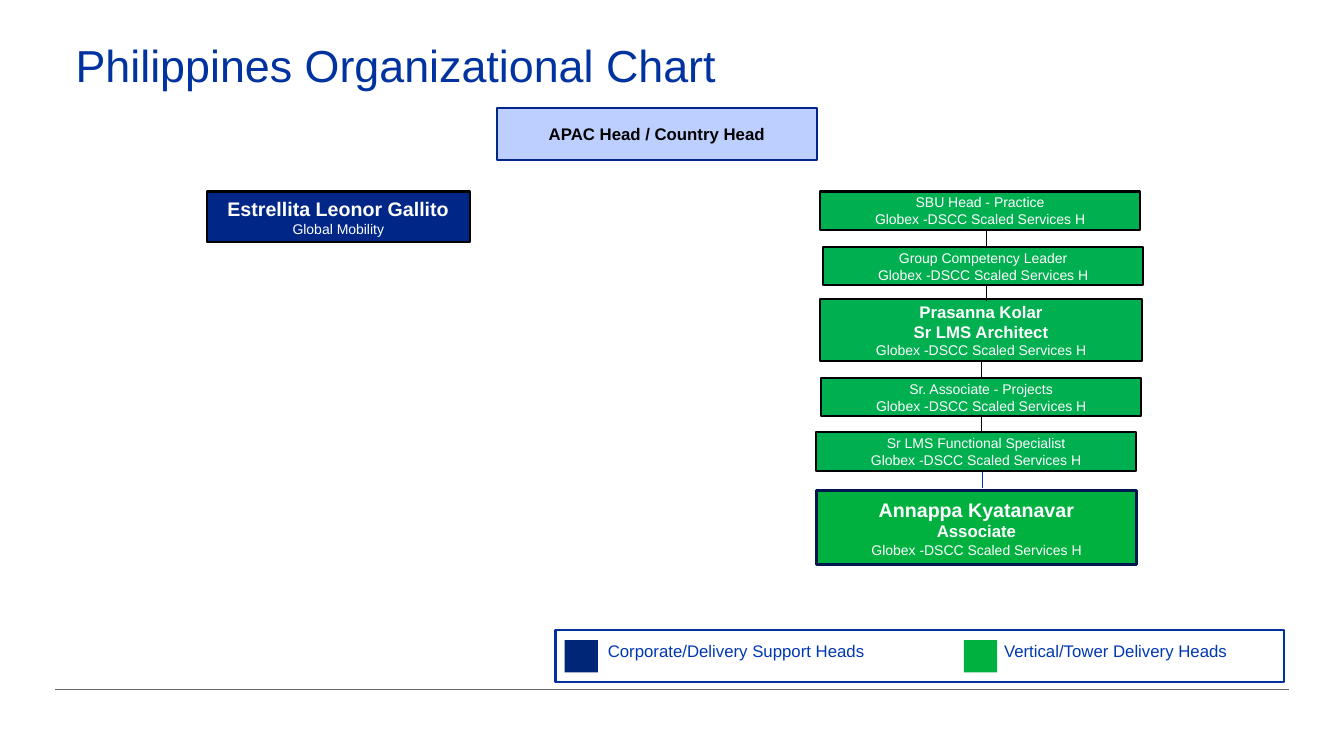
import pptx
import pptx.util
import pptx.dml.color
import pptx.enum.shapes
import pptx.enum.text
import pptx.oxml

Inches, Pt = pptx.util.Inches, pptx.util.Pt
RGB = pptx.dml.color.RGBColor
ALIGN = pptx.enum.text.PP_ALIGN
ANCHOR = pptx.enum.text.MSO_ANCHOR
RECT = pptx.enum.shapes.MSO_SHAPE.RECTANGLE
STRAIGHT = pptx.enum.shapes.MSO_CONNECTOR.STRAIGHT

BLACK, WHITE = RGB(0, 0, 0), RGB(255, 255, 255)
BLUE, NAVY, DEEP = RGB(0, 0x33, 0xA0), RGB(0, 0x26, 0x87), RGB(0, 0x16, 0x4F)
LINK, LABEL, PALE = RGB(0, 0x32, 0xB0), RGB(0, 0x38, 0xB1), RGB(0xBD, 0xCF, 0xFF)
GREEN, LIME, MARK = RGB(0, 0xB0, 0x50), RGB(0, 0xB1, 0x40), RGB(0, 0x26, 0x78)
GREY = RGB(0x66, 0x66, 0x66)

TITLE = "Philippines Organizational Chart"
UNIT = ("Globex -DSCC Scaled Services H", 10, False)

# Each line of text: wording, size, bold
HEAD = [("APAC Head / Country Head", 12, True)]
SUPPORT = [("Estrellita Leonor Gallito", 14, True), ("Global Mobility", 10, False)]

# Delivery chain: place, lines, fill, outline, outline width
CHAIN = [
    ((8.13, 1.9, 3.18, 0.38), [("SBU Head - Practice", 10, False), UNIT], GREEN, BLACK, 1.5),
    ((8.16, 2.45, 3.18, 0.38), [("Group Competency Leader", 10, False), UNIT], GREEN, BLACK, 1.5),
    ((8.13, 2.97, 3.2, 0.61),
     [("Prasanna Kolar", 12, True), ("Sr LMS Architect", 12, True), UNIT], GREEN, BLACK, 1.5),
    ((8.14, 3.75, 3.18, 0.38), [("Sr. Associate - Projects", 10, False), UNIT], GREEN, BLACK, 1.5),
    ((8.09, 4.29, 3.18, 0.38), [("Sr LMS Functional Specialist", 10, False), UNIT], GREEN, BLACK, 1.5),
    ((8.1, 4.87, 3.17, 0.73),
     [("Annappa Kyatanavar", 14, True), ("Associate", 12, True), UNIT], LIME, DEEP, 2),
]

# Links down the chain: x, top, bottom, colour, box glued at start, box glued at end
LINKS = [
    (9.78, 2.28, 2.44, BLACK, None, None),
    (9.78, 2.83, 2.99, BLACK, None, None),
    (9.73, 3.58, 3.75, BLACK, 2, 3),
    (9.73, 4.13, 4.29, BLACK, 3, None),
    (9.74, 4.68, 4.84, LINK, None, None),
]

# Legend: swatch left, label left, label width, wording, colour
LEGEND = [
    (5.6, 5.93, 2.98, "Corporate/Delivery Support Heads", MARK),
    (9.56, 9.86, 2.57, "Vertical/Tower Delivery Heads", LIME),
]


def write(frame, lines, color=WHITE, align=ALIGN.CENTER, anchor=ANCHOR.MIDDLE,
          inset=(0, 0.05), space=None):
    frame.word_wrap = True
    frame.vertical_anchor = anchor
    frame.margin_left = frame.margin_right = Inches(inset[0])
    frame.margin_top = frame.margin_bottom = Inches(inset[1])
    for i, (text, size, bold) in enumerate(lines):
        para = frame.add_paragraph() if i else frame.paragraphs[0]
        para.alignment = align
        para.line_spacing = space
        run = para.add_run()
        run.text = text
        run.font.name = "Arial"
        run.font.size = Pt(size)
        run.font.bold = bold
        run.font.color.rgb = color


def box(place, lines=(), fill=None, edge=None, width=1.5, color=WHITE):
    shape = slide.shapes.add_shape(RECT, *map(Inches, place))
    shape.shadow.inherit = False
    if fill is None:
        shape.fill.background()
    else:
        shape.fill.solid()
        shape.fill.fore_color.rgb = fill
    if edge is None:
        shape.line.fill.background()
    else:
        shape.line.color.rgb = edge
        shape.line.width = Pt(width)
    write(shape.text_frame, lines, color)
    return shape


def rule(x1, y1, x2, y2, color):
    line = slide.shapes.add_connector(STRAIGHT, *map(Inches, (x1, y1, x2, y2)))
    line.line.color.rgb = color
    line.line.width = Pt(0.75)
    props = line.element.spPr
    props.append(props.makeelement(pptx.oxml.ns.qn("a:effectLst"), {}))
    return line


deck = pptx.Presentation()
deck.slide_width, deck.slide_height = Inches(13.33), Inches(7.5)
slide = deck.slides.add_slide(deck.slide_layouts[5])

title = slide.shapes.title
title.left, title.top = Inches(0.75), Inches(0.43)
title.width, title.height = Inches(12.22), Inches(1.16)
write(title.text_frame, [(TITLE, 32, False)], color=BLUE, align=ALIGN.LEFT,
      anchor=ANCHOR.TOP, inset=(0, 0), space=0.9)

rule(0.55, 6.84, 12.78, 6.84, GREY)
box((5.51, 6.25, 7.23, 0.52), edge=BLUE)
for left, start, width, text, fill in LEGEND:
    box((left, 6.35, 0.33, 0.32), fill=fill)
    label = slide.shapes.add_textbox(*map(Inches, (start, 6.31, width, 0.41)))
    write(label.text_frame, [(text, 12, False)], color=LABEL, align=ALIGN.LEFT,
          anchor=ANCHOR.TOP, inset=(0.1, 0.05))

box((4.93, 1.07, 3.17, 0.52), HEAD, PALE, NAVY, color=BLACK)
box((2.05, 1.9, 2.61, 0.5), SUPPORT, NAVY, BLACK)

chain = [box(*part) for part in CHAIN]
for x, top, foot, color, first, last in LINKS:
    link = rule(x, top, x, foot, color)
    if first is not None:
        link.begin_connect(chain[first], 2)
    if last is not None:
        link.end_connect(chain[last], 0)

deck.save("out.pptx")
